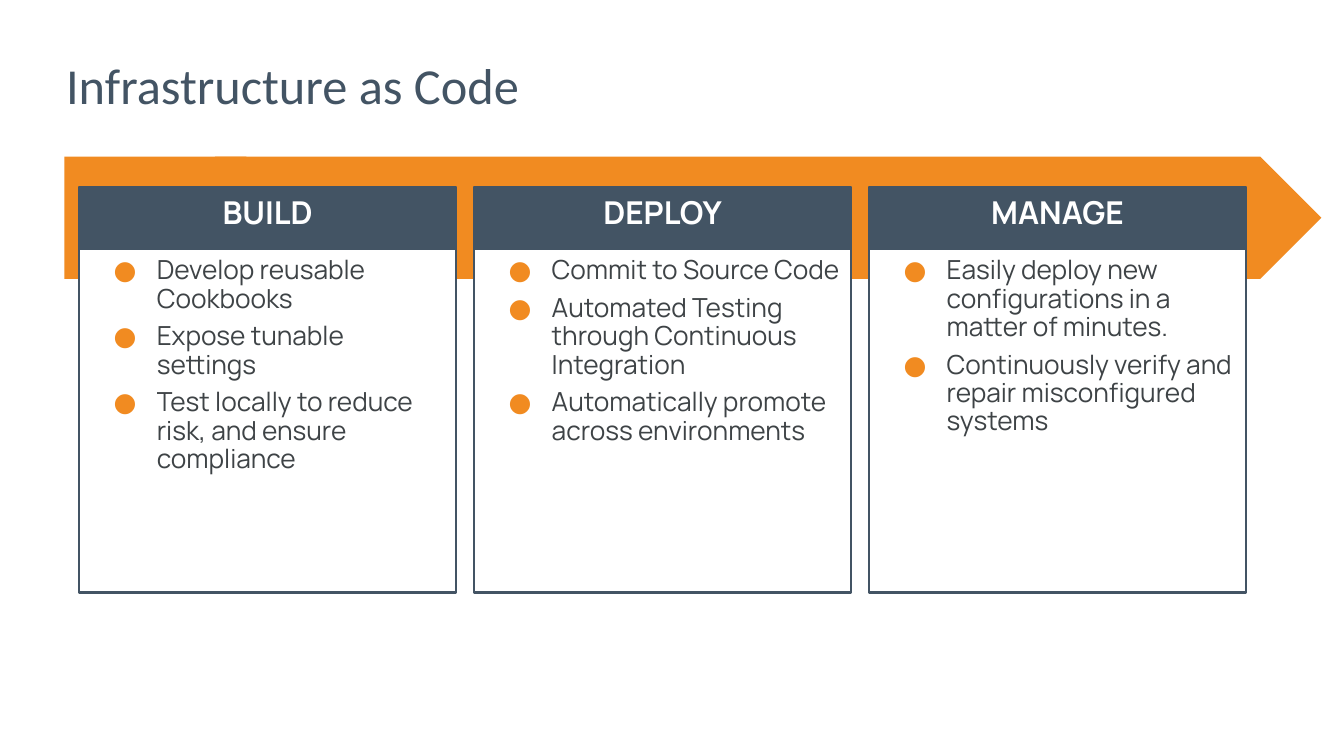
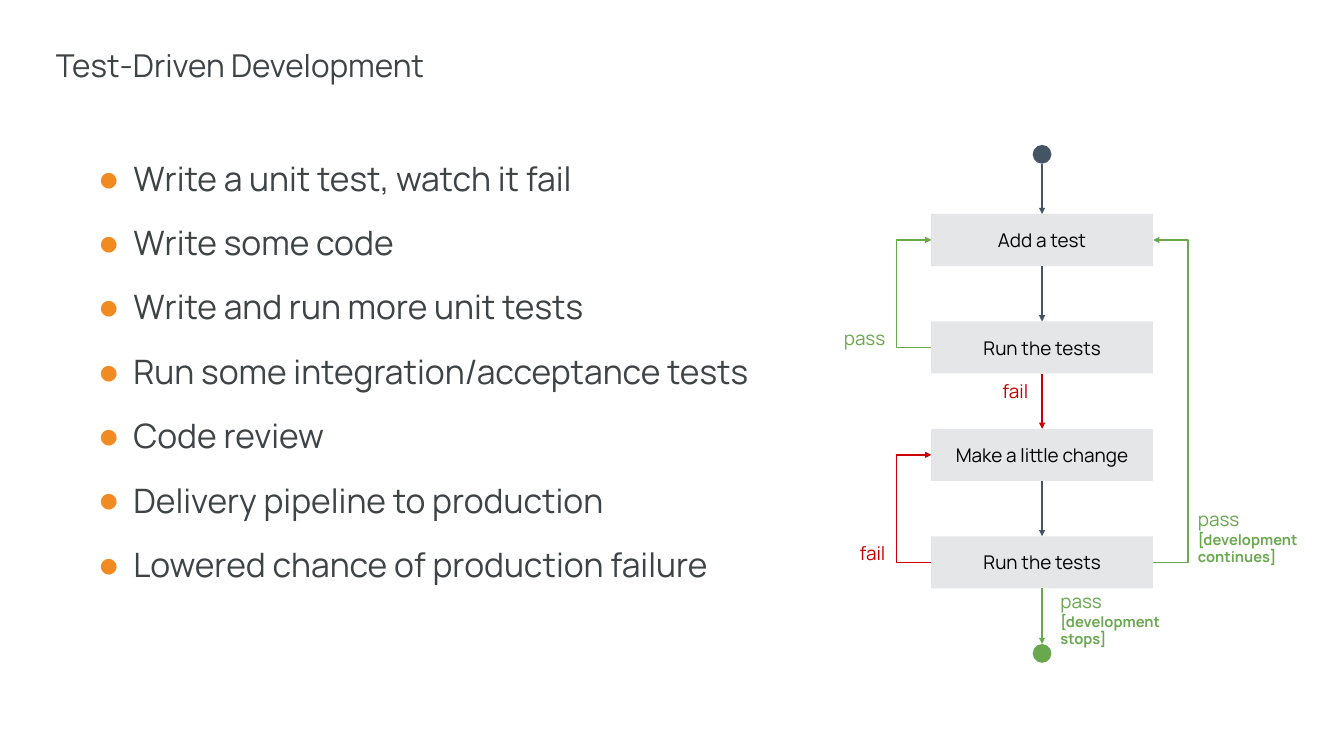
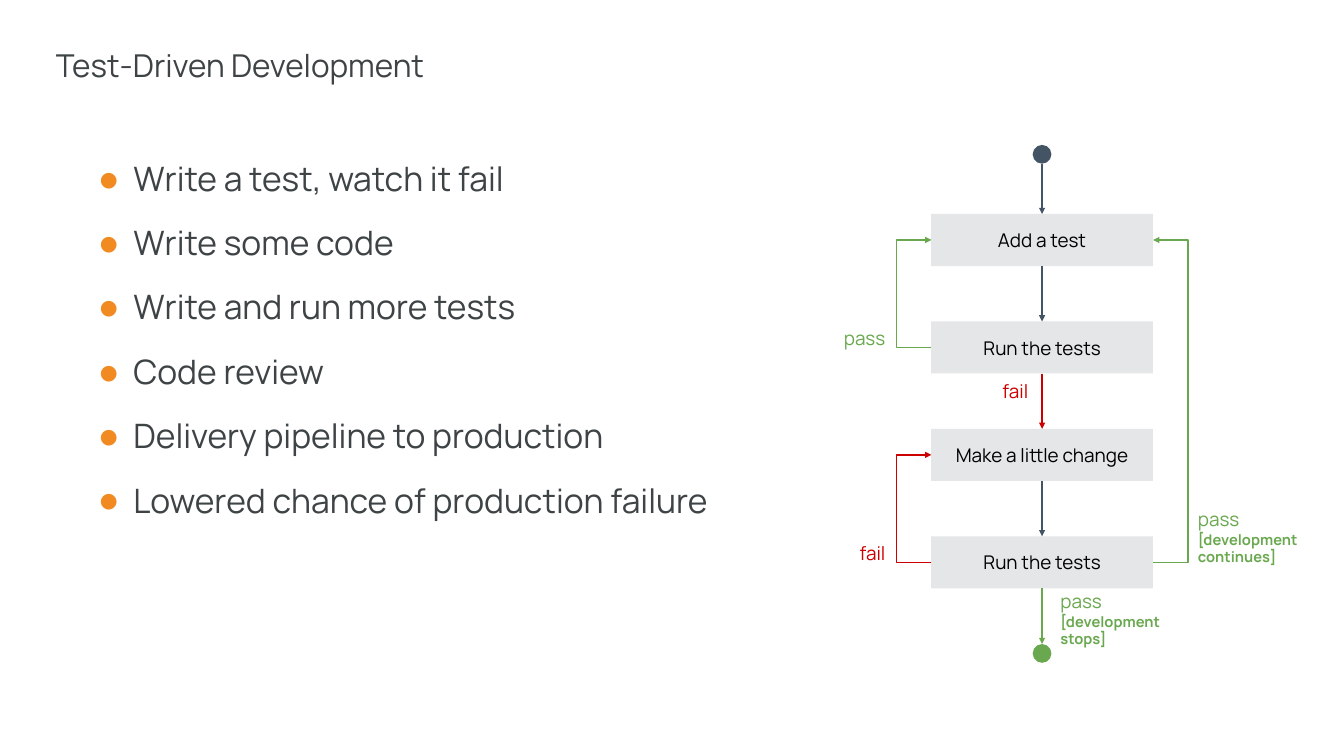
from lxml import etree
from pptx import Presentation
from pptx.dml.color import RGBColor
from pptx.enum.shapes import MSO_CONNECTOR, MSO_SHAPE
from pptx.enum.text import MSO_ANCHOR, MSO_AUTO_SIZE, PP_ALIGN
from pptx.oxml.ns import qn
from pptx.util import Cm, Pt

RECT, OVAL, ARROW = MSO_SHAPE.RECTANGLE, MSO_SHAPE.OVAL, MSO_SHAPE.LEFT_RIGHT_ARROW
STRAIGHT, ELBOW = MSO_CONNECTOR.STRAIGHT, MSO_CONNECTOR.ELBOW
LEFT, CENTER, RIGHT = PP_ALIGN.LEFT, PP_ALIGN.CENTER, PP_ALIGN.RIGHT
TOP, MIDDLE = MSO_ANCHOR.TOP, MSO_ANCHOR.MIDDLE
NO_FIT = MSO_AUTO_SIZE.NONE

SLATE, ORANGE, INK, PALE = "435464", "F18B21", "3E4346", "E4E6E7"
GREEN, RED, WHITE, BLACK = "6AA84F", "CC0000", "FFFFFF", "000000"
FONT = "Manrope"
TITLE_ONLY, TITLE_BODY = 5, 1


def rgb(code):
    return RGBColor.from_string(code)


def add_xml(parent, tag, **attrs):
    return etree.SubElement(parent, qn(tag), attrs)


class Deck:
    """Holds the style and the current slide."""

    def __init__(self):
        self.prs = Presentation()
        self.prs.slide_width, self.prs.slide_height = Cm(45.16), Cm(25.4)
        self.slide = None

    def start(self, layout, title, size, color, font=FONT, inset=0):
        """Add a slide with its title."""
        self.slide = self.prs.slides.add_slide(self.prs.slide_layouts[layout])
        head = self.slide.shapes.title
        self.place(head, 1.88, 1.7, 41.4, 2.06)
        self.fill_text(head, [title], size, color, font=font, inset=(inset, inset), lead=0.9)

    def place(self, shape, x, y, w, h):
        shape.left, shape.top, shape.width, shape.height = Cm(x), Cm(y), Cm(w), Cm(h)

    def fill_text(self, shape, lines, size, color, font=FONT, bold=False, align=LEFT,
                  anchor=TOP, inset=(0.34, 0.18), lead=1.0):
        frame = shape.text_frame
        frame.text = "\n".join(lines)
        frame.word_wrap, frame.auto_size, frame.vertical_anchor = True, NO_FIT, anchor
        frame.margin_left = frame.margin_right = Cm(inset[0])
        frame.margin_top = frame.margin_bottom = Cm(inset[1])
        for para in frame.paragraphs:
            para.alignment, para.line_spacing = align, lead
            para.space_before = para.space_after = Pt(0)
            for run in para.runs:
                run.font.name, run.font.size, run.font.bold = font, Pt(size), bold
                run.font.color.rgb = rgb(color)

    def bullet(self, shape, hang, scale=100, after=0):
        """Turn the paragraphs of a shape into a bulleted list."""
        for i, para in enumerate(shape.text_frame.paragraphs):
            para.space_before, para.space_after = Pt(8.9 if i else 0), Pt(after)
            props = para._p.get_or_add_pPr()
            props.set("marL", str(Cm(2.26)))
            props.set("indent", str(-Cm(hang)))
            add_xml(add_xml(props, "a:buClr"), "a:srgbClr", val=ORANGE)
            add_xml(props, "a:buSzPct", val=str(scale * 1000))
            add_xml(props, "a:buFont", typeface=FONT)
            add_xml(props, "a:buChar", char="●")

    def text(self, x, y, w, h, lines, size, color, **style):
        box = self.slide.shapes.add_textbox(Cm(x), Cm(y), Cm(w), Cm(h))
        self.fill_text(box, lines, size, color, **style)
        return box

    def body(self, lines):
        box = self.slide.placeholders[1]
        self.place(box, 1.88, 5.11, 23.93, 16.03)
        self.fill_text(box, lines, 32, INK, inset=(0.34, 0.34), lead=0.9)
        self.bullet(box, 1.12, 61, 17.8)

    def shape(self, kind, x, y, w, h, fill, edge=None):
        shape = self.slide.shapes.add_shape(kind, Cm(x), Cm(y), Cm(w), Cm(h))
        shape.shadow.inherit = False
        shape.fill.solid()
        shape.fill.fore_color.rgb = rgb(fill)
        if edge:
            shape.line.color.rgb, shape.line.width = rgb(edge), Pt(2)
        else:
            shape.line.fill.background()
        return shape

    def arrow(self, kind, x1, y1, x2, y2, color):
        line = self.slide.shapes.add_connector(kind, Cm(x1), Cm(y1), Cm(x2), Cm(y2))
        line.line.color.rgb, line.line.width = rgb(color), Pt(1.5)
        add_xml(line.line._get_or_add_ln(), "a:tailEnd", type="triangle")
        add_xml(line._element.spPr, "a:effectLst")
        return line

    def loop(self, x, low, high, reach, color):
        """Draw an elbow from low up to high that bulges sideways by reach."""
        thin = 0.01
        line = self.arrow(ELBOW, x, low, x + thin, high, color)
        guides = line._element.spPr.find(qn("a:prstGeom")).get_or_add_avLst()
        bend = round(reach / thin * 100000)
        add_xml(guides, "a:gd", name="adj1", fmla=f"val {bend}")

    def label(self, x, y, w, h, word, color, note=None):
        """Add a branch label, with an optional small bold note below."""
        lines = [word, note] if note else [word]
        box = self.text(x, y, w, h, lines, 18, color, anchor=MIDDLE,
                        align=LEFT if note else RIGHT, inset=(0.45, 0.45))
        if note:
            font = box.text_frame.paragraphs[1].runs[0].font
            font.size, font.bold = Pt(14), True

    def card(self, x, head, items):
        y, w = 6.3, 12.65
        self.shape(RECT, x, y, w, 13.61, WHITE, SLATE)
        self.shape(RECT, x, y, w, 2.08, SLATE, SLATE)
        self.text(x + 0.55, y + 0.15, w - 1.1, 1.75, [head], 30, WHITE,
                  bold=True, align=CENTER, lead=0.9)
        points = self.text(x, y + 2.16, w, 6.8, items, 25, INK, lead=0.9)
        self.bullet(points, 1.45)

    def flow(self):
        """Draw the test cycle."""
        left, top, wide, high, step = 31.29, 7.19, 7.45, 1.75, 3.61
        mid, right, dot, reach = left + wide / 2, left + wide, 0.63, 1.17
        steps = ["Add a test", "Run the tests", "Make a little change", "Run the tests"]
        tops = [top + step * i for i in range(len(steps))]
        first, check, change, again = [y + high / 2 for y in tops]
        begin, end = 4.87, 21.64

        for y, name in zip(tops, steps):
            box = self.shape(RECT, left, y, wide, high, PALE)
            self.fill_text(box, [name], 18, BLACK, align=CENTER, anchor=MIDDLE,
                           inset=(0.45, 0.45))
        for y, color in (begin, SLATE), (end, GREEN):
            self.shape(OVAL, mid - dot / 2, y, dot, dot, color)

        starts = [begin + dot] + [y + high for y in tops]
        colors = [SLATE, SLATE, RED, SLATE, GREEN]
        for y1, y2, color in zip(starts, tops + [end], colors):
            self.arrow(STRAIGHT, mid, y1, mid, y2, color)
        self.loop(left, check, first, -reach, GREEN)
        self.loop(left, again, change, -reach, RED)
        self.loop(right, again, first, reach, GREEN)

        for x, y, word, color in [(27.86, 11.05, "pass", GREEN),
                                  (32.66, 12.8, "fail", RED),
                                  (27.86, 18.26, "fail", RED)]:
            self.label(x, y, 2.34, 0.64, word, color)
        self.label(39.8, 17.17, 5.05, 1.73, "pass", GREEN, "[development continues]")
        self.label(35.18, 20.47, 5.72, 0.64, "pass", GREEN, "[development stops]")


def main():
    deck = Deck()
    deck.start(TITLE_ONLY, "Infrastructure as Code", 48, SLATE, "Calibri", 0.34)
    tail = deck.shape(RECT, 2.16, 5.26, 6.12, 4.11, ORANGE)
    point = deck.shape(ARROW, 5.18, 5.26, 39.22, 4.11, ORANGE)
    point.adjustments[0], point.adjustments[1] = 1, 0.5
    deck.slide.shapes.add_group_shape([tail, point])
    cards = {
        "BUILD": ["Develop reusable Cookbooks", "Expose tunable settings",
                  "Test locally to reduce risk, and ensure compliance"],
        "DEPLOY": ["Commit to Source Code",
                   "Automated Testing through Continuous Integration",
                   "Automatically promote across environments"],
        "MANAGE": ["Easily deploy new configurations in a matter of minutes.",
                   "Continuously verify and repair misconfigured systems"],
    }
    for i, (head, items) in enumerate(cards.items()):
        deck.card(2.67 + 13.27 * i, head, items)

    ending = ["Code review", "Delivery pipeline to production",
              "Lowered chance of production failure"]
    unit = ["Write a unit test, watch it fail", "Write some code",
            "Write and run more unit tests", "Run some integration/acceptance tests"]
    plain = ["Write a test, watch it fail", "Write some code", "Write and run more tests"]
    for items in unit, plain:
        deck.start(TITLE_BODY, "Test-Driven Development", 30, INK)
        deck.body(items + ending)
        deck.flow()
    deck.prs.save("out.pptx")


if __name__ == "__main__":
    main()
